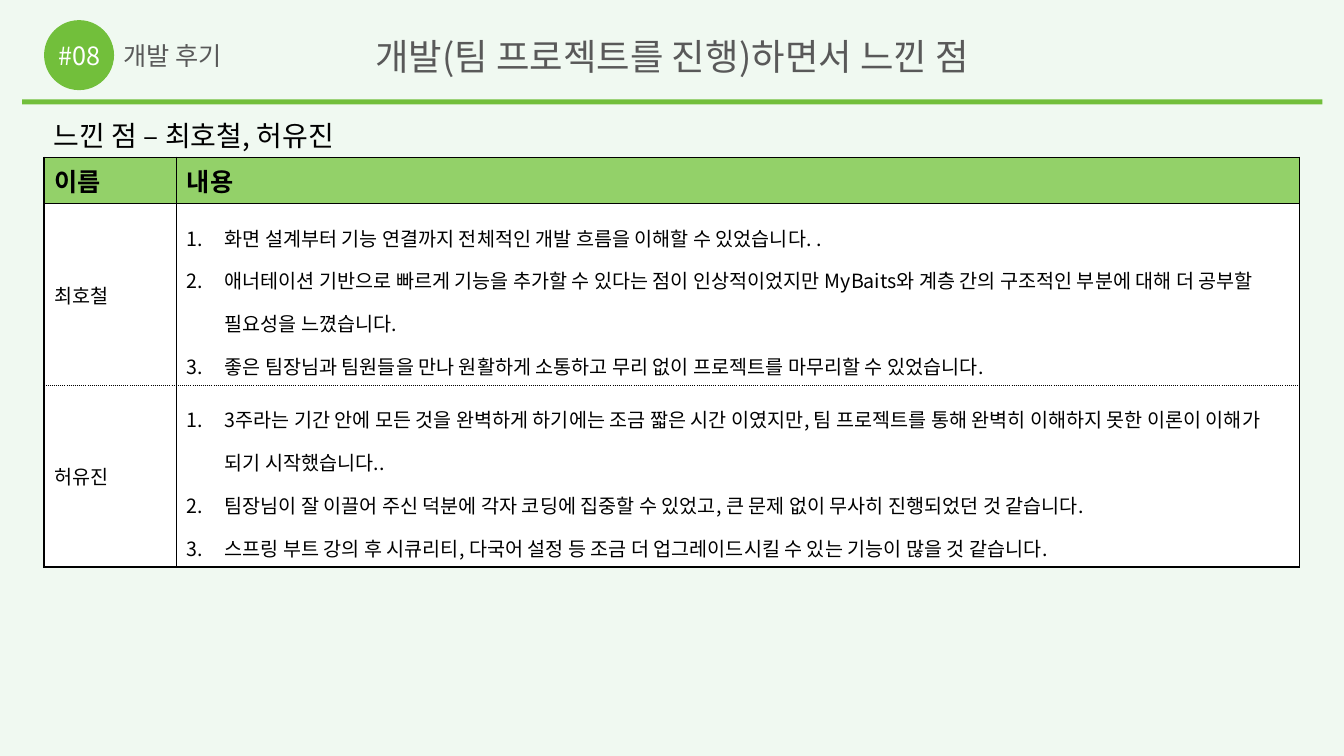
from lxml import etree
from pptx import Presentation
from pptx.dml.color import RGBColor
from pptx.enum.shapes import MSO_SHAPE
from pptx.enum.text import MSO_ANCHOR, MSO_AUTO_SIZE, PP_ALIGN
from pptx.oxml.ns import qn
from pptx.util import Pt

RECT, OVAL = MSO_SHAPE.RECTANGLE, MSO_SHAPE.OVAL
TOP, MIDDLE = MSO_ANCHOR.TOP, MSO_ANCHOR.MIDDLE
LEFT, CENTER = PP_ALIGN.LEFT, PP_ALIGN.CENTER
NO_FIT = MSO_AUTO_SIZE.NONE

FONT = "Noto Sans CJK KR"
MINT = RGBColor(0xF0, 0xF9, 0xF1)
GREEN = RGBColor(0x72, 0xBF, 0x3B)
LIME = RGBColor(0x93, 0xD1, 0x69)
GRAY = RGBColor(0x59, 0x59, 0x59)
BLACK = RGBColor(0, 0, 0)
WHITE = RGBColor(0xFF, 0xFF, 0xFF)

NOTES = [
    ("최호철", [
        "화면 설계부터 기능 연결까지 전체적인 개발 흐름을 이해할 수 있었습니다. .",
        "애너테이션 기반으로 빠르게 기능을 추가할 수 있다는 점이 인상적이었지만 MyBaits와 "
        "계층 간의 구조적인 부분에 대해 더 공부할 필요성을 느꼈습니다.",
        "좋은 팀장님과 팀원들을 만나 원활하게 소통하고 무리 없이 프로젝트를 마무리할 수 있었습니다.",
    ]),
    ("허유진", [
        "3주라는 기간 안에 모든 것을 완벽하게 하기에는 조금 짧은 시간 이였지만, 팀 프로젝트를 통해 "
        "완벽히 이해하지 못한 이론이 이해가 되기 시작했습니다..",
        "팀장님이 잘 이끌어 주신 덕분에 각자 코딩에 집중할 수 있었고, 큰 문제 없이 무사히 진행되었던 것 같습니다.",
        "스프링 부트 강의 후 시큐리티, 다국어 설정 등 조금 더 업그레이드시킬 수 있는 기능이 많을 것 같습니다.",
    ]),
]


def number(para):
    """Turn a paragraph into a numbered item with a hanging indent."""
    props = para._p.get_or_add_pPr()
    props.set("marL", str(Pt(27)))
    props.set("indent", str(-Pt(27)))
    etree.SubElement(props, qn("a:buFont"), typeface="+mj-lt")
    etree.SubElement(props, qn("a:buAutoNum"), type="arabicPeriod")


def write(frame, *lines, size=14, color=BLACK, bold=False, align=LEFT,
          space=1.0, listed=False):
    for i, line in enumerate(lines):
        para = frame.add_paragraph() if i else frame.paragraphs[0]
        if listed:
            number(para)
        para.alignment = align
        para.line_spacing = space
        run = para.add_run()
        run.text = line
        font = run.font
        font.size, font.bold, font.name = Pt(size), bold, FONT
        font.color.rgb = color
        etree.SubElement(run._r.get_or_add_rPr(), qn("a:ea"), typeface=FONT)


def shape(shapes, kind, left, top, width, height, color):
    item = shapes.add_shape(kind, Pt(left), Pt(top), Pt(width), Pt(height))
    item.shadow.inherit = False
    item.fill.solid()
    item.fill.fore_color.rgb = color
    item.line.fill.background()


def setup(frame, inset, anchor):
    frame.word_wrap = True
    frame.auto_size = NO_FIT
    frame.vertical_anchor = anchor
    if not inset:
        frame.margin_left = frame.margin_right = 0
        frame.margin_top = frame.margin_bottom = 0


def label(shapes, text, left, top, width, height, inset=False, anchor=MIDDLE, **style):
    box = shapes.add_textbox(Pt(left), Pt(top), Pt(width), Pt(height))
    setup(box.text_frame, inset, anchor)
    write(box.text_frame, text, **style)


def title(slide, text):
    head = slide.shapes.title
    head.left, head.top, head.width, head.height = Pt(180.7), Pt(21.6), Pt(599), Pt(36.7)
    setup(head.text_frame, False, MIDDLE)
    write(head.text_frame, text, size=26, color=GRAY, align=CENTER)


def border(cell, dotted):
    """Draw the four sides; those named in dotted get a dotted line."""
    props = cell._tc.get_or_add_tcPr()
    for side in "LRTB":
        line = etree.SubElement(props, qn("a:ln" + side), w=str(Pt(1)))
        fill = etree.SubElement(line, qn("a:solidFill"))
        etree.SubElement(fill, qn("a:srgbClr"), val=str(BLACK))
        dash = "sysDot" if side in dotted else "solid"
        etree.SubElement(line, qn("a:prstDash"), val=dash)


def fill_cell(cell, *lines, color=WHITE, dotted="", anchor=MIDDLE, **style):
    border(cell, dotted)
    cell.fill.solid()
    cell.fill.fore_color.rgb = color
    cell.vertical_anchor = anchor
    write(cell.text_frame, *lines, **style)


def review(shapes, left, top, widths, heights):
    grid = shapes.add_table(len(heights), len(widths), Pt(left), Pt(top),
                            Pt(sum(widths)), Pt(sum(heights))).table
    for col, width in zip(grid.columns, widths):
        col.width = Pt(width)
    for row, height in zip(grid.rows, heights):
        row.height = Pt(height)
    for c, text in enumerate(("이름", "내용")):
        fill_cell(grid.cell(0, c), text, color=LIME, anchor=TOP, size=18, bold=True)
    for r, (name, items) in enumerate(NOTES, 1):
        dotted = "B" if r == 1 else "T"
        fill_cell(grid.cell(r, 0), name, dotted=dotted)
        fill_cell(grid.cell(r, 1), *items, dotted=dotted, space=1.5, listed=True)


def main():
    deck = Presentation()
    deck.slide_width, deck.slide_height = Pt(960), Pt(540)
    slide = deck.slides.add_slide(deck.slide_layouts[5])
    shapes = slide.shapes
    slide.background.fill.solid()
    slide.background.fill.fore_color.rgb = MINT

    # Header: title, number badge, section name and rule
    title(slide, "개발(팀 프로젝트를 진행)하면서 느낀 점")
    badge = shapes.add_group_shape().shapes
    shape(badge, OVAL, 31.5, 14.4, 50, 50, GREEN)
    label(badge, "#08", 38.2, 27.2, 36.6, 24.4, size=18, color=WHITE, align=CENTER)
    shape(shapes, RECT, 15.8, 71, 928.8, 3.6, GREEN)
    label(shapes, "개발 후기", 88, 28.5, 170, 21.6, size=18, color=GRAY)

    # Review table and its caption
    review(shapes, 31.5, 112.3, (94.8, 802.2), (33, 129.6, 129.6))
    label(shapes, "느낀 점 – 최호철, 허유진", 31.5, 80.8, 378.7, 31.5,
          inset=True, anchor=TOP, size=20)

    deck.save("out.pptx")


if __name__ == "__main__":
    main()
